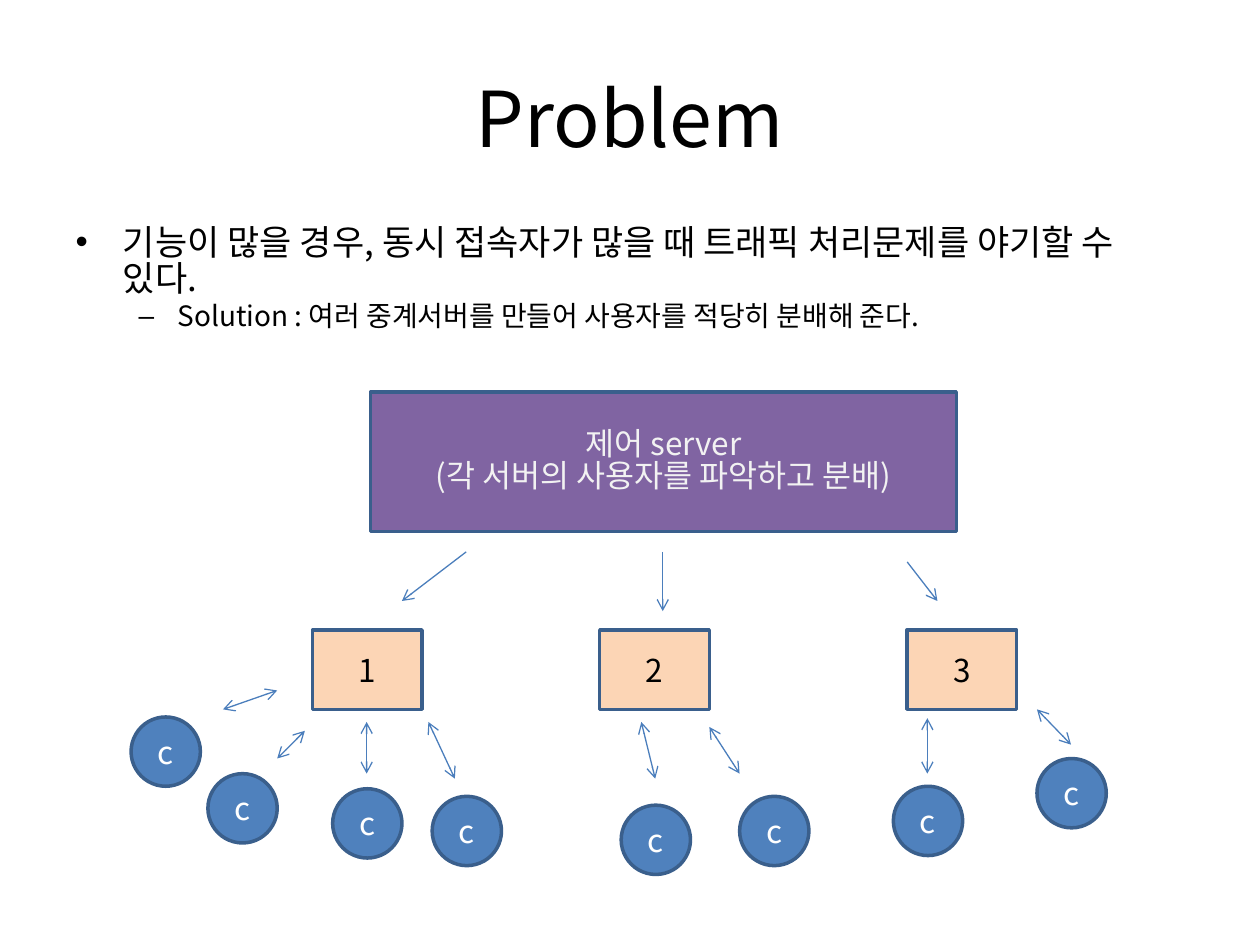
from lxml.etree import SubElement
from pptx import Presentation
from pptx.dml.color import RGBColor
from pptx.enum.shapes import MSO_CONNECTOR, MSO_SHAPE
from pptx.enum.text import MSO_ANCHOR, PP_ALIGN
from pptx.oxml.ns import qn
from pptx.util import Inches, Pt

COLORS = {
    "text": "000000", "light": "F2F2F2", "white": "FFFFFF",
    "control": "8064A2", "relay": "FCD5B5", "client": "4F81BD",
    "border": "3A5F8C", "arrow": "4B7EBC",
}
FONT = "Noto Sans CJK KR"
WIDTH, HEIGHT = Inches(10), Inches(7.5)
COLS, ROWS = 100, 75
RELAY_TOP, RELAY_SIZE, CLIENT_SIZE = 50, (8.7, 6.3), (5.5, 5.5)
RELAYS = [("1", 24.8), ("2", 47.6), ("3", 72)]
CLIENTS = [
    (10.4, 56.9), (16.5, 61.4), (26.4, 62.6), (34.3, 63.2),
    (49.3, 63.9), (58.7, 63.2), (70.9, 62.4), (82.3, 60.2),
]
CLIENT_LINKS = [
    (17.7, 56.3, 22, 54.8), (22, 60.2, 24.2, 58), (29.1, 61.4, 29.1, 57.3),
    (36.1, 61.8, 34, 57.3), (52, 61.8, 50.9, 57.3), (58.7, 61.4, 56.3, 57.7),
    (73.6, 57, 73.6, 61.4), (82.3, 56.3, 85, 59.1),
]
CONTROL_LINKS = [(37, 43.8, 31.9, 47.7), (52.6, 43.8, 52.6, 48.5), (72, 44.6, 74.4, 47.7)]


def rgb(name):
    return RGBColor.from_string(COLORS[name])


def grid(col, row):
    return round(WIDTH * col / COLS), round(HEIGHT * row / ROWS)


def format_paragraph(p, size, color, align=None, spacing=None):
    p.alignment = align
    p.line_spacing = spacing
    for r in p.runs:
        r.font.size = Pt(size)
        r.font.name = FONT
        r.font.color.rgb = rgb(color)
        SubElement(r.font._element, qn("a:ea"), typeface=FONT)


def place(sp, col, row, cols, rows):
    sp.left, sp.top = grid(col, row)
    sp.width, sp.height = grid(cols, rows)


def add_title(s, text):
    sp = s.shapes.title
    place(sp, 5, 3, 90, 12.5)
    sp.text_frame.text = text
    format_paragraph(sp.text_frame.paragraphs[0], 44, "text", PP_ALIGN.CENTER)


def add_list(s, items):
    sp = s.placeholders[1]
    place(sp, 5, 17.5, 90, 49.5)
    tf = sp.text_frame
    for i, (level, size, text) in enumerate(items):
        p = tf.add_paragraph() if i else tf.paragraphs[0]
        p.text = text
        p.level = level
        format_paragraph(p, size, "text", spacing=0.85)


def add_node(s, kind, text, at, size, fill, color, spacing=None):
    sp = s.shapes.add_shape(kind, *grid(*at), *grid(*size))
    sp.shadow.inherit = False
    sp.fill.solid()
    sp.fill.fore_color.rgb = rgb(fill)
    sp.line.color.rgb = rgb("border")
    sp.line.width = Pt(2)
    tf = sp.text_frame
    tf.text = text
    tf.word_wrap = True
    tf.vertical_anchor = MSO_ANCHOR.MIDDLE
    for p in tf.paragraphs:
        format_paragraph(p, 18, color, PP_ALIGN.CENTER, spacing)


def add_arrow(s, link, ends):
    x1, y1, x2, y2 = link
    line = s.shapes.add_connector(MSO_CONNECTOR.STRAIGHT, *grid(x1, y1), *grid(x2, y2))
    line.line.color.rgb = rgb("arrow")
    line.line.width = Pt(0.75)
    ln = line.line._get_or_add_ln()
    for end in ends:
        SubElement(ln, qn(f"a:{end}"), type="arrow")
    SubElement(line._element.spPr, qn("a:effectLst"))


def main():
    """Build the slide on relay servers that share out the users."""
    prs = Presentation()
    prs.slide_width, prs.slide_height = WIDTH, HEIGHT
    s = prs.slides.add_slide(prs.slide_layouts[1])
    add_title(s, "Problem")
    add_list(s, [
        (0, 20, "기능이 많을 경우, 동시 접속자가 많을 때 트래픽 처리문제를 야기할 수 있다."),
        (1, 16, "Solution : 여러 중계서버를 만들어 사용자를 적당히 분배해 준다."),
    ])
    for text, col in RELAYS:
        add_node(s, MSO_SHAPE.RECTANGLE, text, (col, RELAY_TOP), RELAY_SIZE, "relay", "text")
    for at in CLIENTS:
        add_node(s, MSO_SHAPE.OVAL, "c", at, CLIENT_SIZE, "client", "white")
    for link in CLIENT_LINKS:
        add_arrow(s, link, ("headEnd", "tailEnd"))
    add_node(s, MSO_SHAPE.RECTANGLE, "제어 server\n(각 서버의 사용자를 파악하고 분배)",
             (29.4, 31.1), (46.5, 11.1), "control", "light", 0.85)
    for link in CONTROL_LINKS:
        add_arrow(s, link, ("tailEnd",))
    prs.save("out.pptx")


if __name__ == "__main__":
    main()
